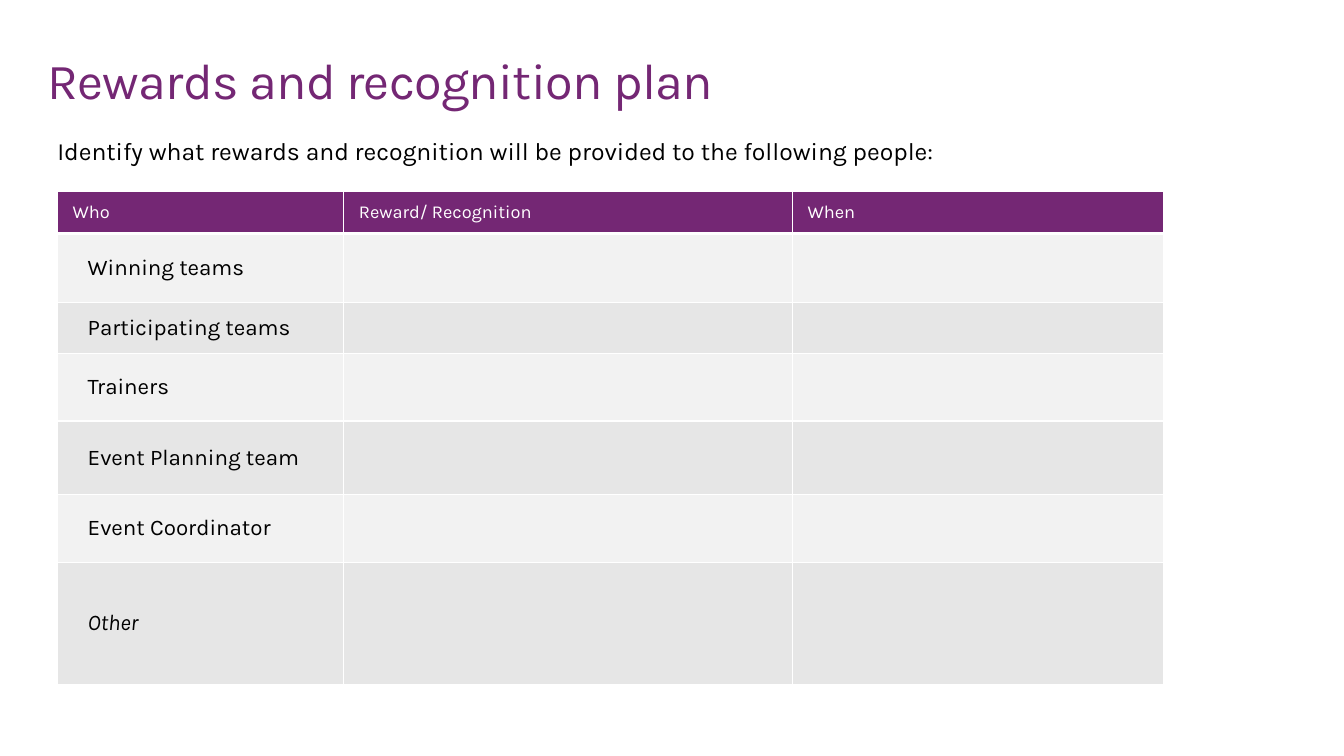
"""Build the rewards and recognition plan slide."""
from dataclasses import dataclass

from lxml.etree import SubElement
from pptx import Presentation
from pptx.dml.color import RGBColor
from pptx.enum.text import MSO_ANCHOR, MSO_AUTO_SIZE, PP_ALIGN
from pptx.oxml.ns import qn
from pptx.slide import Slide
from pptx.table import _Cell
from pptx.text.text import _Paragraph, _Run
from pptx.util import Emu, Pt

EMU_PER_PX = 9144


@dataclass(frozen=True)
class Theme:
    font: str = "Karla"
    purple: str = "742774"
    white: str = "FFFFFF"
    black: str = "000000"
    bands: tuple[str, str] = ("F2F2F2", "E6E6E6")
    title_size: float = 36
    intro_size: float = 17.7
    header_size: float = 13
    body_size: float = 16
    thin_line: float = 1
    thick_line: float = 3


@dataclass(frozen=True)
class Box:
    left: int
    top: int
    width: int
    height: int

    def emu(self) -> tuple[Emu, Emu, Emu, Emu]:
        return px(self.left), px(self.top), px(self.width), px(self.height)


@dataclass(frozen=True)
class Row:
    height: int
    labels: tuple[str, ...]
    italic: bool = False


THEME = Theme()
TITLE_BOX = Box(47, 49, 1098, 61)
INTRO_BOX = Box(47, 130, 952, 40)
TABLE_BOX = Box(57, 190, 1097, 486)
COLUMN_WIDTHS = (284, 445, 368)
ROWS = (
    Row(38, ("Who", "Reward/ Recognition", "When")),
    Row(68, ("Winning teams",)),
    Row(51, ("Participating teams",)),
    Row(67, ("Trainers",)),
    Row(73, ("Event Planning team",)),
    Row(67, ("Event Coordinator",)),
    Row(122, ("Other",), italic=True),
)


def px(length: int) -> Emu:
    return Emu(length * EMU_PER_PX)


def add_span(para: _Paragraph, text: str, size: float, color: str, italic: bool = False) -> _Run:
    span = para.add_run()
    span.text = text
    span.font.name = THEME.font
    span.font.size = Pt(size)
    span.font.bold = False
    span.font.italic = italic
    span.font.color.rgb = RGBColor.from_string(color)
    return span


def add_title(page: Slide) -> None:
    title = page.shapes.title
    title.left, title.top, title.width, title.height = TITLE_BOX.emu()
    frame = title.text_frame
    frame.margin_left = frame.margin_top = frame.margin_right = frame.margin_bottom = 0
    frame.vertical_anchor = MSO_ANCHOR.TOP
    frame.auto_size = MSO_AUTO_SIZE.SHAPE_TO_FIT_TEXT
    para = frame.paragraphs[0]
    para.alignment = PP_ALIGN.LEFT
    span = add_span(para, "Rewards and recognition plan", THEME.title_size, THEME.purple)
    span.font._element.set("spc", "-50")


def add_intro(page: Slide) -> None:
    frame = page.shapes.add_textbox(*INTRO_BOX.emu()).text_frame
    frame.word_wrap = True
    frame.auto_size = MSO_AUTO_SIZE.SHAPE_TO_FIT_TEXT
    para = frame.paragraphs[0]
    para.space_after = Pt(6)
    add_span(
        para,
        "Identify what rewards and recognition will be provided to the following people:",
        THEME.intro_size,
        THEME.black,
    )


def add_borders(cell: _Cell, top: float, bottom: float) -> None:
    properties = cell._tc.get_or_add_tcPr()
    widths = {"lnL": THEME.thin_line, "lnR": THEME.thin_line, "lnT": top, "lnB": bottom}
    for side, width in widths.items():
        line = SubElement(properties, qn(f"a:{side}"), w=str(Pt(width)))
        fill = SubElement(line, qn("a:solidFill"))
        SubElement(fill, qn("a:srgbClr"), val=THEME.white)


def format_cell(cell: _Cell, row_index: int) -> None:
    is_header = row_index == 0
    add_borders(
        cell,
        top=THEME.thick_line if row_index == 1 else THEME.thin_line,
        bottom=THEME.thick_line if is_header else THEME.thin_line,
    )
    color = THEME.purple if is_header else THEME.bands[(row_index - 1) % 2]
    cell.fill.solid()
    cell.fill.fore_color.rgb = RGBColor.from_string(color)
    cell.vertical_anchor = MSO_ANCHOR.MIDDLE
    cell.margin_left = px(15 if is_header else 30)
    cell.margin_top = cell.margin_right = cell.margin_bottom = px(10)


def add_plan(page: Slide) -> None:
    table = page.shapes.add_table(len(ROWS), len(COLUMN_WIDTHS), *TABLE_BOX.emu()).table
    table.horz_banding = False
    for column, width in zip(table.columns, COLUMN_WIDTHS):
        column.width = px(width)
    for row_index, row in enumerate(ROWS):
        table.rows[row_index].height = px(row.height)
        for cell in table.rows[row_index].cells:
            format_cell(cell, row_index)
        size, color = (
            (THEME.header_size, THEME.white) if row_index == 0 else (THEME.body_size, THEME.black)
        )
        for column_index, label in enumerate(row.labels):
            para = table.cell(row_index, column_index).text_frame.paragraphs[0]
            add_span(para, label, size, color, row.italic)


def main() -> None:
    deck = Presentation()
    deck.slide_width, deck.slide_height = px(1333), px(750)
    page = deck.slides.add_slide(deck.slide_layouts[5])
    add_title(page)
    add_plan(page)
    add_intro(page)
    deck.save("out.pptx")


if __name__ == "__main__":
    main()
